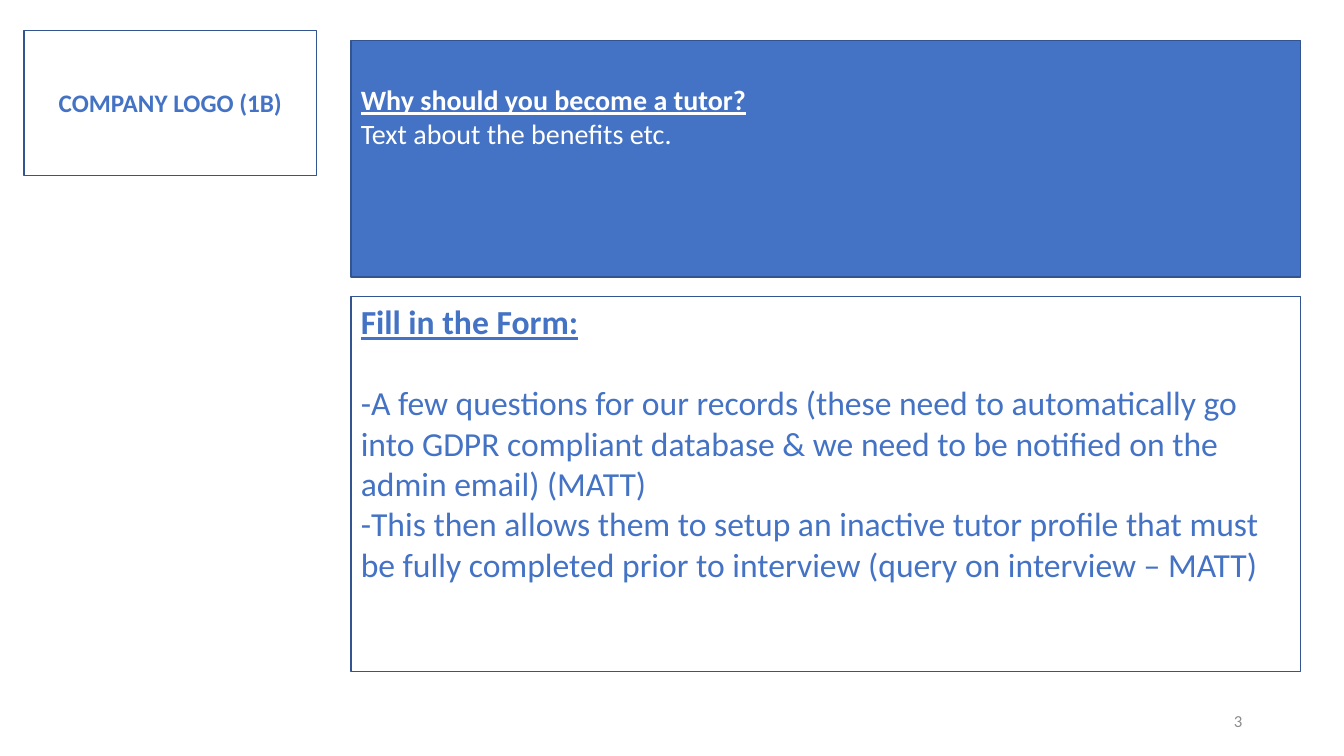
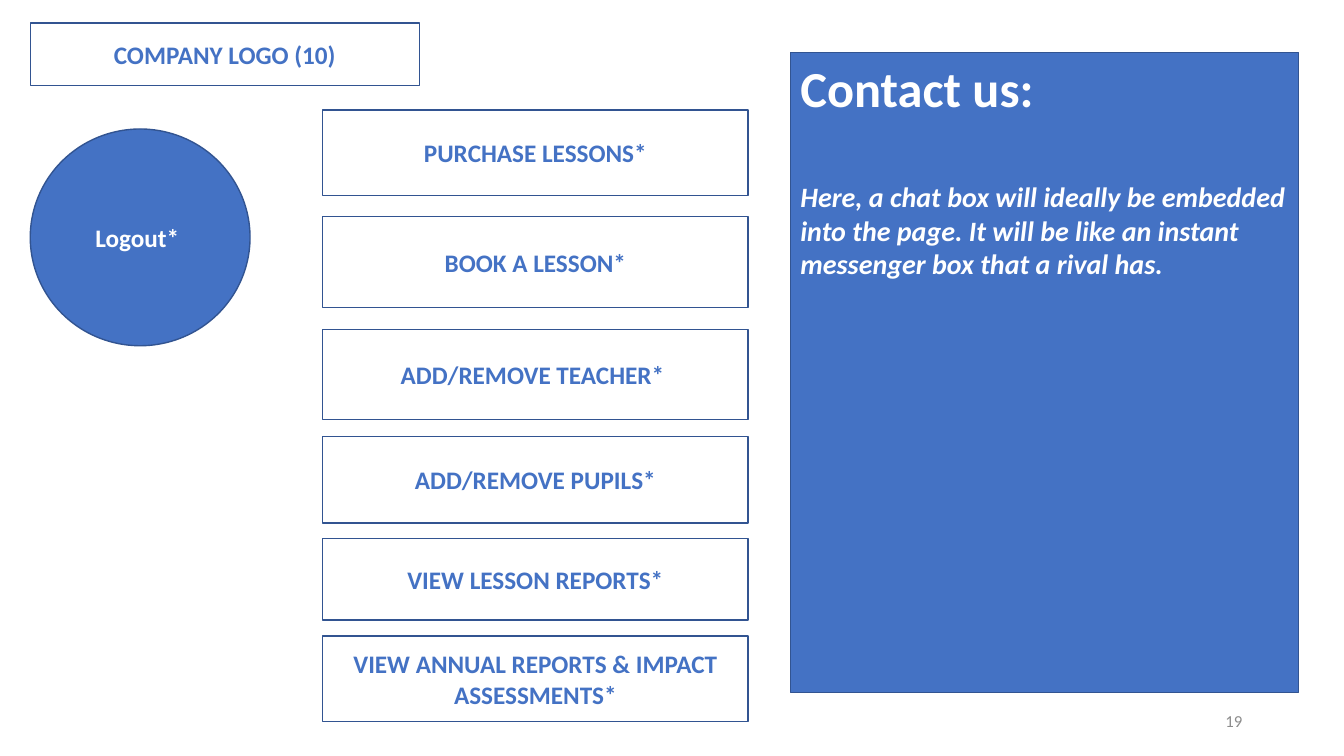
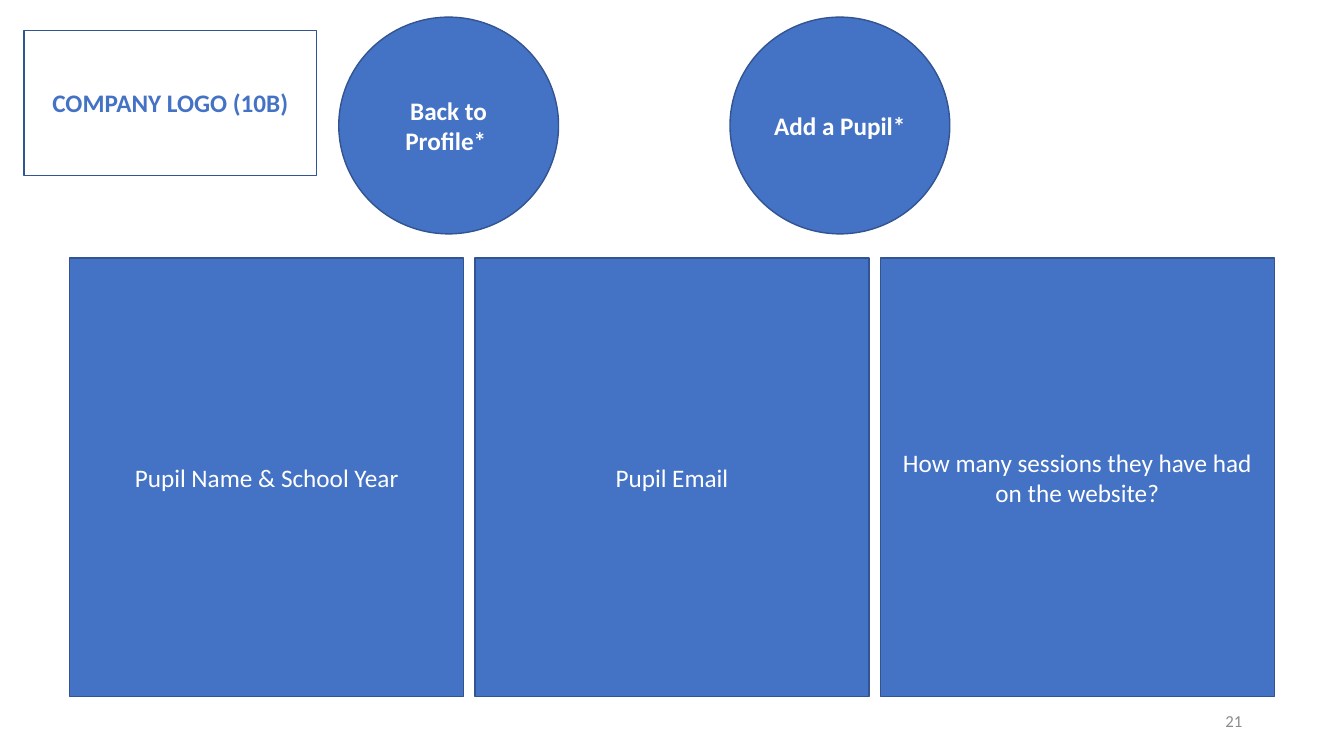
from pptx import Presentation
from pptx.dml.color import RGBColor
from pptx.enum import shapes, text
from pptx.util import Inches, Pt

COLOURS = {"blue": "4472C4", "outline": "325491", "white": "FFFFFF", "grey": "8C8C8C"}
FONT = "Calibri"
RECT, OVAL = shapes.MSO_SHAPE.RECTANGLE, shapes.MSO_SHAPE.OVAL
TOP, MIDDLE = text.MSO_ANCHOR.TOP, text.MSO_ANCHOR.MIDDLE
LEFT, CENTRE, RIGHT = text.PP_ALIGN.LEFT, text.PP_ALIGN.CENTER, text.PP_ALIGN.RIGHT

# Places shared by several slides, in inches: left, top, width, height
LOGO_PLACE = (0.24, 0.3, 2.9, 1.44)
NUMBER_PLACE = (9.42, 6.95, 3, 0.4)
CIRCLE_SIZE = (2.18, 2.15)


def colour(name):
    return RGBColor.from_string(COLOURS[name])


def write(frame, paragraphs, ink, align, anchor):
    """Fill a frame with (wording, font values, points of space after)."""
    frame.word_wrap = True
    frame.vertical_anchor = anchor
    for index, (wording, font_values, space_after) in enumerate(paragraphs):
        paragraph = frame.add_paragraph() if index else frame.paragraphs[0]
        paragraph.alignment = align
        paragraph.space_after = Pt(space_after)
        run = paragraph.add_run()
        run.text = wording
        run.font.color.rgb = colour(ink)
        for name, value in {"name": FONT, **font_values}.items():
            setattr(run.font, name, value)


def panel(slide, place, paragraphs, filled=True, outline=RECT, align=LEFT, anchor=TOP):
    """Outlined shape: white on blue when filled, else blue on white."""
    box = slide.shapes.add_shape(outline, *map(Inches, place))
    box.shadow.inherit = False
    box.fill.solid()
    box.fill.fore_color.rgb = colour("blue" if filled else "white")
    box.line.color.rgb = colour("outline")
    box.line.width = Pt(1)
    write(box.text_frame, paragraphs, "white" if filled else "blue", align, anchor)
    return box


def label(slide, place, wording, filled=False, outline=RECT, bold=True):
    """Panel with one centred 18 pt caption."""
    caption = (wording, {"size": Pt(18), "bold": bold}, 0)
    panel(slide, place, [caption], filled, outline, CENTRE, MIDDLE)


def circle_button(slide, left, top, wording):
    label(slide, (left, top, *CIRCLE_SIZE), wording, filled=True, outline=OVAL)


def new_slide(deck, number, logo, logo_place=LOGO_PLACE):
    """Blank slide with its logo box and page number."""
    slide = deck.slides.add_slide(deck.slide_layouts[6])
    label(slide, logo_place, logo)
    footer = slide.shapes.add_textbox(*map(Inches, NUMBER_PLACE))
    write(footer.text_frame, [(number, {"size": Pt(12)}, 0)], "grey", RIGHT, MIDDLE)
    return slide


def tutor_form(deck):
    slide = new_slide(deck, "3", "COMPANY LOGO (1B)")
    left, width = 3.48, 9.42
    heading = {"bold": True, "underline": True}
    benefits = panel(slide, (left, 0.4, width, 2.35), [
        ("Why should you become a tutor?", {"size": Pt(20), **heading}, 0),
        ("Text about the benefits etc.", {"size": Pt(20)}, 0),
    ])
    benefits.text_frame.margin_top = Inches(0.42)
    panel(slide, (left, 2.94, width, 3.72), [
        ("Fill in the Form:", {"size": Pt(24), **heading}, 29),
        ("-A few questions for our records (these need to automatically go into GDPR "
         "compliant database & we need to be notified on the admin email) (MATT)",
         {"size": Pt(24)}, 0),
        ("-This then allows them to setup an inactive tutor profile that must be fully "
         "completed prior to interview (query on interview – MATT)",
         {"size": Pt(24)}, 0),
    ], filled=False)


def school_profile(deck):
    slide = new_slide(deck, "19", "COMPANY LOGO (10)", (0.3, 0.23, 3.86, 0.62))
    circle_button(slide, 0.3, 1.28, "Logout* ")
    # Menu: top, height, wording
    menu = [
        (1.09, 0.85, "PURCHASE LESSONS*"),
        (2.15, 0.9, "BOOK A LESSON*"),
        (3.27, 0.89, "ADD/REMOVE TEACHER* "),
        (4.33, 0.86, "ADD/REMOVE PUPILS*"),
        (5.34, 0.81, "VIEW LESSON REPORTS*"),
        (6.31, 0.85, "VIEW ANNUAL REPORTS & IMPACT ASSESSMENTS*"),
    ]
    for top, height, wording in menu:
        label(slide, (3.2, top, 4.22, height), wording)
    # Contact panel
    panel(slide, (7.84, 0.52, 5.04, 6.35), [
        ("Contact us:", {"size": Pt(36), "bold": True}, 44),
        ("Here, a chat box will ideally be embedded into the page. It will be like an "
         "instant messenger box that a rival has.",
         {"size": Pt(20), "bold": True, "italic": True}, 0),
    ])


def pupil_list(deck):
    slide = new_slide(deck, "21", "COMPANY LOGO (10B)")
    circle_button(slide, 3.36, 0.17, "Back to Profile* ")
    circle_button(slide, 7.24, 0.17, "Add a Pupil* ")
    # Pupil columns
    first_left, width, gap = 0.69, 3.91, 0.11
    columns = ["Pupil Name & School Year", "Pupil Email",
               "How many sessions they have had on the website?"]
    for index, wording in enumerate(columns):
        place = (first_left + index * (width + gap), 2.56, width, 4.35)
        label(slide, place, wording, filled=True, bold=False)


def main():
    deck = Presentation()
    deck.slide_width, deck.slide_height = Inches(13.33), Inches(7.5)
    for build in (tutor_form, school_profile, pupil_list):
        build(deck)
    deck.save("out.pptx")


if __name__ == "__main__":
    main()
